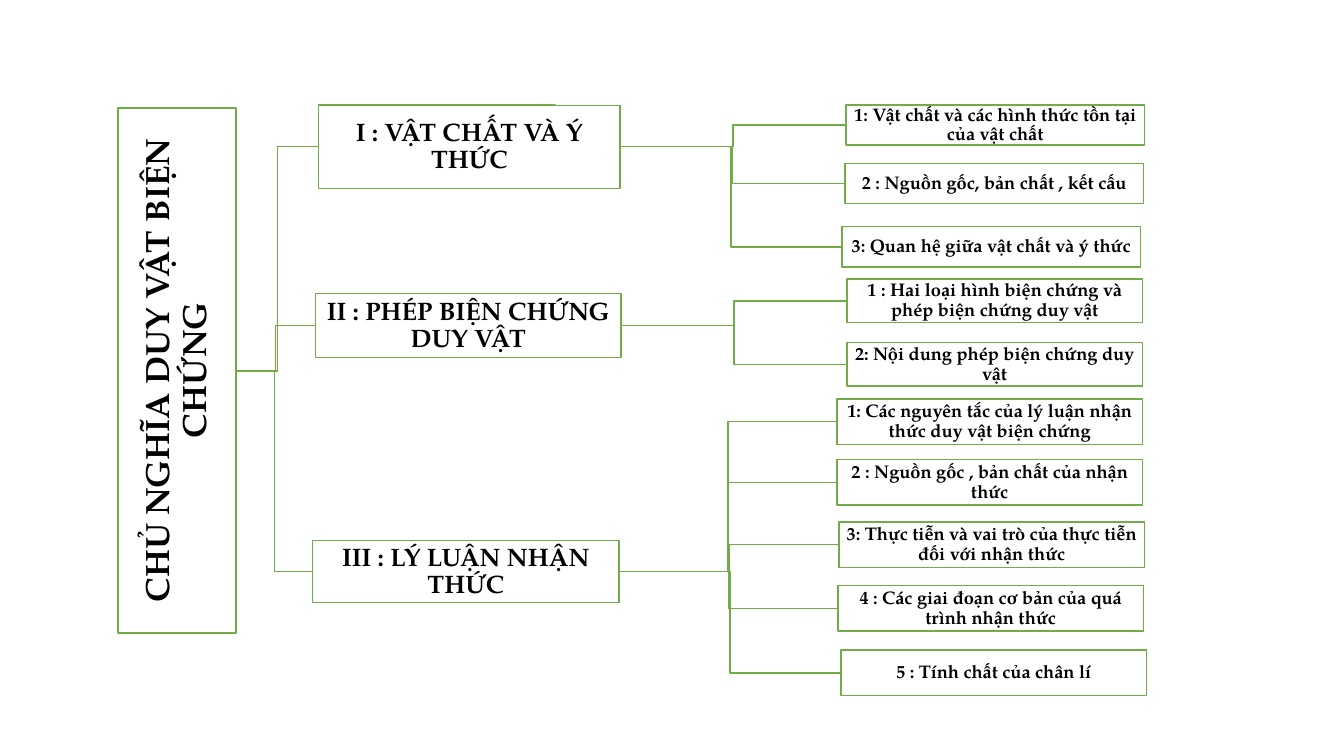
import pptx
import pptx.util
import pptx.dml.color
import pptx.enum.shapes
import pptx.enum.text
import pptx.oxml.ns
import lxml.etree

Inches = pptx.util.Inches
Pt = pptx.util.Pt
RGBColor = pptx.dml.color.RGBColor

GREEN = RGBColor(0x70, 0xAD, 0x47)
WHITE = RGBColor(0xFF, 0xFF, 0xFF)
BLACK = RGBColor(0x00, 0x00, 0x00)
FONT = "TeX Gyre Pagella"

# Each chapter: text, left, top, width, height, leaf size, leaves (text, left, top)
CHAPTERS = [
    ("I : VẬT CHẤT VÀ Ý THỨC", 3.16, 1.04, 2.99, 0.83, (2.96, 0.4), [
        ("1: Vật chất và các hình thức tồn tại của vật chất", 8.39, 1.04),
        ("2 : Nguồn gốc, bản chất , kết cấu", 8.38, 1.62),
        ("3: Quan hệ giữa vật chất và ý thức", 8.35, 2.25),
    ]),
    ("II : PHÉP BIỆN CHỨNG DUY VẬT", 3.13, 2.91, 3.03, 0.64, (2.93, 0.43), [
        ("1 : Hai loại hình biện chứng và phép biện chứng duy vật", 8.4, 2.77),
        ("2: Nội dung phép biện chứng duy vật", 8.4, 3.4),
    ]),
    ("III : LÝ LUẬN NHẬN THỨC", 3.1, 5.36, 3.04, 0.62, (3.03, 0.45), [
        ("1: Các nguyên tắc của lý luận nhận thức duy vật biện chứng", 8.3, 3.96),
        ("2 : Nguồn gốc , bản chất của nhận thức", 8.3, 4.56),
        ("3: Thực tiễn và vai trò của thực tiễn đối với nhận thức", 8.32, 5.18),
        ("4 : Các giai đoạn cơ bản của quá trình nhận thức", 8.31, 5.81),
        ("5 : Tính chất của chân lí", 8.34, 6.45),
    ]),
]

deck = pptx.Presentation()
deck.slide_width = Inches(13.33)
deck.slide_height = Inches(7.5)
slide = deck.slides.add_slide(deck.slide_layouts[6])


def add_box(text, left, top, width, height, size, inset=0.01):
    box = slide.shapes.add_shape(
        pptx.enum.shapes.MSO_SHAPE.RECTANGLE,
        Inches(left), Inches(top), Inches(width), Inches(height))
    box.shadow.inherit = False
    box.fill.solid()
    box.fill.fore_color.rgb = WHITE
    box.line.color.rgb = GREEN
    box.line.width = Pt(1)
    frame = box.text_frame
    frame.word_wrap = True
    frame.vertical_anchor = pptx.enum.text.MSO_ANCHOR.MIDDLE
    frame.margin_left = frame.margin_right = Inches(inset)
    frame.margin_top = frame.margin_bottom = Inches(inset)
    para = frame.paragraphs[0]
    para.text = text
    para.alignment = pptx.enum.text.PP_ALIGN.CENTER
    para.line_spacing = 0.9
    para.font.name = FONT
    para.font.size = Pt(size)
    para.font.bold = True
    para.font.color.rgb = BLACK
    return box


def add_link(x, y, target):
    link = slide.shapes.add_connector(
        pptx.enum.shapes.MSO_CONNECTOR.ELBOW, Inches(x), Inches(y),
        target.left, target.top + target.height // 2)
    link.end_connect(target, 1)
    link.line.color.rgb = GREEN
    link.line.width = Pt(1)
    props = link._element.spPr
    lxml.etree.SubElement(props, pptx.oxml.ns.qn("a:effectLst"))
    return link


# Root, turned to read upwards
root = add_box("CHỦ NGHĨA DUY VẬT BIỆN CHỨNG", -0.85, 3.09, 5.21, 1.17, 24, 0.02)
root.rotation = 270

# Chapters and their leaves, each linked to its parent
for text, left, top, width, height, leaf_size, leaves in CHAPTERS:
    head = add_box(text, left, top, width, height, 18)
    add_link(2.34, 3.68, head)
    for leaf_text, leaf_left, leaf_top in leaves:
        leaf = add_box(leaf_text, leaf_left, leaf_top, *leaf_size, 13)
        link = add_link(left + width, top + height / 2, leaf)
        link.begin_connect(head, 3)

# White strip over the top edge of the first chapter
strip = slide.shapes.add_shape(
    pptx.enum.shapes.MSO_SHAPE.RECTANGLE,
    Inches(5.51), Inches(0.83), Inches(2.29), Inches(0.21))
strip.shadow.inherit = False
strip.fill.solid()
strip.fill.fore_color.rgb = WHITE
strip.line.fill.background()

deck.save("out.pptx")
